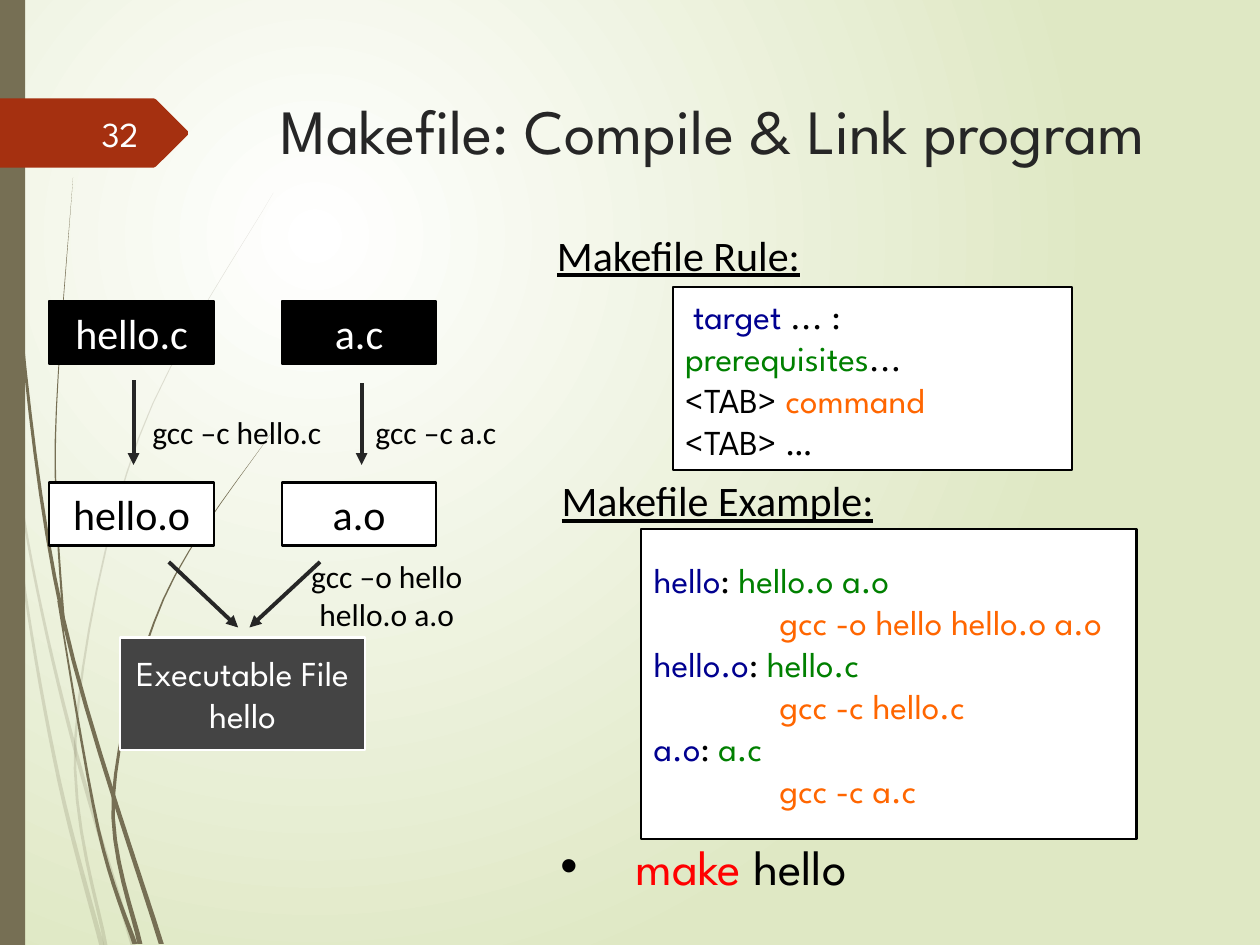
"""Build the slide on compiling and linking a program with a Makefile."""
from dataclasses import dataclass
from typing import NamedTuple, Optional

import lxml.etree
import pptx
import pptx.dml.color
import pptx.enum.shapes
import pptx.enum.text
import pptx.oxml.ns
import pptx.util

PX = 9144
SLIDE_WIDTH, SLIDE_HEIGHT = 1000, 750
RGB = pptx.dml.color.RGBColor
BLACK, WHITE = RGB(0, 0, 0), RGB(0xFF, 0xFF, 0xFF)
INK, GREY = RGB(0x26, 0x26, 0x26), RGB(0x44, 0x44, 0x44)
OLIVE, RUST = RGB(0x76, 0x6F, 0x54), RGB(0xA5, 0x30, 0x10)
MEADOW, NUMBER_WHITE = RGB(0xDF, 0xE8, 0xC4), RGB(0xFE, 0xFF, 0xFF)
TARGET, PREREQ = RGB(0, 0, 0x90), RGB(0, 0x80, 0)
COMMAND, RED = RGB(0xFF, 0x66, 0), RGB(0xFF, 0, 0)
SPARTAN, CALIBRI = "League Spartan", "Calibri"
ALIGN, ANCHOR = pptx.enum.text.PP_ALIGN, pptx.enum.text.MSO_ANCHOR
AUTO_SIZE = pptx.enum.text.MSO_AUTO_SIZE
RECTANGLE = pptx.enum.shapes.MSO_SHAPE.RECTANGLE
STRAIGHT = pptx.enum.shapes.MSO_CONNECTOR.STRAIGHT
SOURCE_TOP, OBJECT_TOP, FILE_HEIGHT = 239, 383, 50
LABEL_TOP, LABEL_WIDTH = 323, 156
COMPILE_END, LINK_START, LINK_END = 369, 446, 498
CURVE_STEPS = 8


class Blade(NamedTuple):
    """A blade of grass that widens along its waypoints from tip to root."""
    waypoints: list
    tip_width: float
    root_width: float
    opacity: int = 100


class Piece(NamedTuple):
    """A stretch of text in one colour."""
    text: str
    color: RGB = BLACK
    size: Optional[int] = None


class Unit(NamedTuple):
    """A column of the diagram: one source file compiled to one object file."""
    stem: str
    left: int
    width: int
    compile_x: int
    compile_start: int
    label_left: int
    link_from: int
    link_to: int


@dataclass
class Block:
    """A text box, or a bordered box when it has a fill."""
    box: tuple
    paragraphs: list
    size: int = 20
    face: str = SPARTAN
    fill: Optional[RGB] = None
    border: RGB = BLACK
    align: ALIGN = ALIGN.LEFT
    anchor: ANCHOR = ANCHOR.TOP
    underline: Optional[bool] = None
    grow: bool = True
    bullet: str = ""
    tab: int = 0


GRASS = [
    Blade([(0, 290), (26, 450), (60, 596), (106, 751)], 1, 4, 20),
    Blade([(8, 350), (20, 470), (47, 620), (81, 751)], 1, 4, 20),
    Blade([(217, 153), (110, 348), (60, 585), (84, 751)], 0, 3, 20),
    Blade([(2, 0), (14, 233), (50, 490), (128, 749)], 1, 4),
    Blade([(46, 477), (78, 658), (107, 749)], 1, 4),
    Blade([(58, 141), (44, 349), (51, 500)], 0, 2),
    Blade([(215, 344), (130, 475), (90, 632), (111, 749)], 0, 4),
]
UNITS = [
    Unit("hello", 39, 131, 106, 302, 110, 134, 189),
    Unit("a", 224, 122, 287, 304, 268, 254, 198),
]


def apply(target, values: dict) -> None:
    """Set each named attribute."""
    for name, value in values.items():
        setattr(target, name, value)


def add_child(parent, tag: str, **attributes: str):
    """Append an XML element."""
    return lxml.etree.SubElement(parent, pptx.oxml.ns.qn(tag), **attributes)


def paint_background(slide) -> None:
    """Spread a round gradient over the slide."""
    slide.background.fill.gradient()
    gradient = next(slide.element.iter(pptx.oxml.ns.qn("a:gradFill")))
    for child in list(gradient):
        gradient.remove(child)
    stops = add_child(gradient, "a:gsLst")
    for position, color in ((0, WHITE), (100000, MEADOW)):
        add_child(add_child(stops, "a:gs", pos=str(position)), "a:srgbClr", val=str(color))
    circle = add_child(gradient, "a:path", path="circle")
    add_child(circle, "a:fillToRect", l="50000", t="50000", r="100000", b="100000")


def paint_plain(shape, color: RGB) -> None:
    """Give a shape a flat fill without line or shadow."""
    shape.shadow.inherit = False
    shape.line.fill.background()
    shape.fill.solid()
    shape.fill.fore_color.rgb = color


def draw_outline(slide, points: list, color: RGB, opacity: int = 100) -> None:
    """Draw a closed, filled outline."""
    corners = [(round(x * PX), round(y * PX)) for x, y in points]
    builder = slide.shapes.build_freeform(*corners[0])
    builder.add_line_segments(corners[1:], close=True)
    outline = builder.convert_to_shape()
    paint_plain(outline, color)
    if opacity < 100:
        shade = next(outline._element.spPr.iter(pptx.oxml.ns.qn("a:srgbClr")))
        add_child(shade, "a:alpha", val=str(opacity * 1000))


def spline(before: float, start: float, end: float, after: float, t: float) -> float:
    """Return the Catmull-Rom value between start and end."""
    return start + t / 2 * (end - before + t * (
        2 * before - 5 * start + 4 * end - after + t * (3 * (start - end) + after - before)))


def smooth_curve(waypoints: list) -> list:
    """Return points on a smooth curve through the waypoints."""
    padded = [waypoints[0], *waypoints, waypoints[-1]]
    curve = []
    for span in zip(padded, padded[1:], padded[2:], padded[3:]):
        for step in range(CURVE_STEPS):
            curve.append(tuple(spline(*axis, step / CURVE_STEPS) for axis in zip(*span)))
    return curve + [waypoints[-1]]


def draw_blade(slide, blade: Blade) -> None:
    """Draw a blade as two edges around its spine."""
    spine = smooth_curve(blade.waypoints)
    growth = (blade.root_width - blade.tip_width) / (len(spine) - 1)
    halves = [(blade.tip_width + growth * index) / 2 for index in range(len(spine))]
    left, right = ([(x + side * half, y) for (x, y), half in zip(spine, halves)]
                   for side in (-1, 1))
    draw_outline(slide, left + right[::-1], OLIVE, blade.opacity)


def draw_side_bar(slide) -> None:
    """Draw the band along the left edge."""
    bar = slide.shapes.add_shape(RECTANGLE, 0, 0, 20 * PX, SLIDE_HEIGHT * PX)
    paint_plain(bar, OLIVE)


def draw_badge(slide) -> None:
    """Draw the pointed tag behind the slide number."""
    top, bottom, shoulder, tip, bevel = 78, 133, 122, 149, 2
    upper = [(0, top), (shoulder, top), (shoulder + bevel, top + 1), (tip, 104)]
    lower = [(x, top + bottom - y) for x, y in reversed(upper)]
    draw_outline(slide, upper + lower, RUST)


def draw_block(slide, block: Block) -> None:
    """Draw a block with its text."""
    bounds = [PX * value for value in block.box]
    if block.fill is None:
        holder = slide.shapes.add_textbox(*bounds)
    else:
        holder = slide.shapes.add_shape(RECTANGLE, *bounds)
        paint_plain(holder, block.fill)
        holder.line.color.rgb = block.border
        holder.line.width = pptx.util.Pt(1.25)
    frame = holder.text_frame
    apply(frame, {"word_wrap": True, "vertical_anchor": block.anchor,
                  "auto_size": AUTO_SIZE.SHAPE_TO_FIT_TEXT if block.grow else AUTO_SIZE.NONE})
    for index, pieces in enumerate(block.paragraphs):
        paragraph = frame.paragraphs[0] if index == 0 else frame.add_paragraph()
        paragraph.alignment = block.align
        properties = paragraph._p.get_or_add_pPr()
        if block.bullet:
            paragraph.level = 1
            apply_indent = {"marL": 100, "indent": -50}
            for name, length in apply_indent.items():
                properties.set(name, str(length * PX))
            add_child(properties, "a:buFont", typeface="Arial")
            add_child(properties, "a:buChar", char=block.bullet)
        if block.tab:
            add_child(add_child(properties, "a:tabLst"), "a:tab",
                      pos=str(block.tab * PX), algn="l")
        for piece in pieces:
            run = paragraph.add_run()
            run.text = piece.text
            apply(run.font, {"name": block.face, "size": pptx.util.Pt(piece.size or block.size),
                             "underline": block.underline})
            run.font.color.rgb = piece.color


def draw_arrow(slide, *ends: int) -> None:
    """Draw an arrow from the first point to the second."""
    arrow = slide.shapes.add_connector(STRAIGHT, *(PX * value for value in ends))
    arrow.line.color.rgb = INK
    arrow.line.width = pptx.util.Pt(2.25)
    add_child(arrow.line._ln, "a:tailEnd", type="triangle")
    add_child(arrow._element.spPr, "a:effectLst")


def caption(text: str, box: tuple, size: int = 24, color: RGB = BLACK, **extra) -> Block:
    """Return a centred block holding one line in Calibri."""
    return Block(box, [[Piece(text, color)]], size, CALIBRI, align=ALIGN.CENTER, **extra)


def draw_unit(slide, unit: Unit) -> None:
    """Draw a source file, its compile step and its object file."""
    for suffix, top, fill, color in ((".c", SOURCE_TOP, BLACK, WHITE),
                                     (".o", OBJECT_TOP, WHITE, BLACK)):
        box = (unit.left, top, unit.width, FILE_HEIGHT)
        draw_block(slide, caption(unit.stem + suffix, box, color=color, fill=fill))
    draw_arrow(slide, unit.compile_x, unit.compile_start, unit.compile_x, COMPILE_END)
    draw_arrow(slide, unit.link_from, LINK_START, unit.link_to, LINK_END)
    label_box = (unit.label_left, LABEL_TOP, LABEL_WIDTH, 40)
    draw_block(slide, caption(f"gcc –c {unit.stem}.c", label_box, 18))


def make_rule(target: str, prerequisites: str, command: str) -> list:
    """Return the two coloured lines of a Makefile rule."""
    return [[Piece(target, TARGET), Piece(": "), Piece(prerequisites, PREREQ)],
            [Piece("\t"), Piece(command, COMMAND)]]


SYNTAX = [
    [Piece(" ", size=18), Piece("target", TARGET), Piece(" ... : "),
     Piece("prerequisites", PREREQ), Piece("...")],
    [Piece("<TAB> "), Piece("command", COMMAND)],
    [Piece("<TAB> …")],
]
EXAMPLE = make_rule("hello", "hello.o a.o", "gcc -o hello hello.o a.o")
for unit_name in ("hello", "a"):
    EXAMPLE += make_rule(f"{unit_name}.o", f"{unit_name}.c", f"gcc -c {unit_name}.c")
BLOCKS = [
    Block((213, 68, 721, 140), [[Piece("Makefile: Compile & Link program", INK)]], 36, grow=False),
    Block((56, 86, 64, 40), [[Piece("32", NUMBER_WHITE)]], align=ALIGN.RIGHT,
          anchor=ANCHOR.MIDDLE, grow=False),
    Block((534, 228, 317, 145), SYNTAX, fill=WHITE, anchor=ANCHOR.MIDDLE),
    caption("Makefile Rule:", (411, 177, 255, 50), underline=True),
    Block((509, 420, 393, 246), EXAMPLE, fill=WHITE, anchor=ANCHOR.MIDDLE, tab=100),
    caption("Makefile Example:", (429, 372, 281, 50), underline=True),
    Block((95, 506, 195, 89), [[Piece("Executable File", WHITE)], [Piece("hello", WHITE)]],
          fill=GREY, border=WHITE, align=ALIGN.CENTER, anchor=ANCHOR.MIDDLE, grow=False),
    caption("gcc –o hello hello.o a.o", (229, 437, LABEL_WIDTH, 71), 18),
    Block((385, 659, 506, 57), [[Piece(" "), Piece("make ", RED), Piece("hello")]], 28,
          bullet="•"),
]


def main() -> None:
    """Draw the slide from back to front and save it."""
    deck = pptx.Presentation()
    apply(deck, {"slide_width": SLIDE_WIDTH * PX, "slide_height": SLIDE_HEIGHT * PX})
    slide = deck.slides.add_slide(deck.slide_layouts[6])
    paint_background(slide)
    for blade in GRASS:
        draw_blade(slide, blade)
    draw_side_bar(slide)
    draw_badge(slide)
    for block in BLOCKS:
        draw_block(slide, block)
    for unit in UNITS:
        draw_unit(slide, unit)
    deck.save("out.pptx")


if __name__ == "__main__":
    main()
